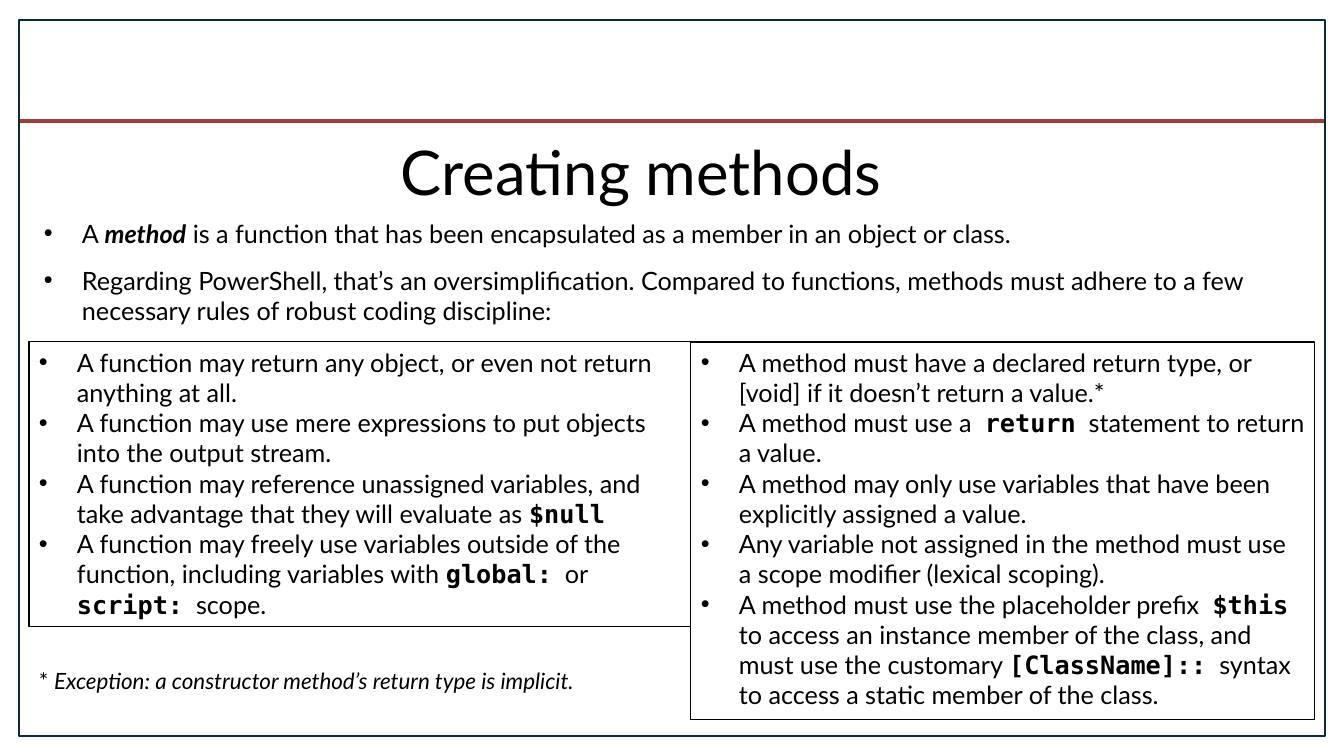
from lxml import etree
from pptx import Presentation
from pptx.dml.color import RGBColor
from pptx.enum.shapes import MSO_CONNECTOR, MSO_SHAPE
from pptx.enum.text import MSO_ANCHOR, MSO_AUTO_SIZE
from pptx.oxml.ns import qn
from pptx.util import Pt

STRAIGHT = MSO_CONNECTOR.STRAIGHT
RECTANGLE = MSO_SHAPE.RECTANGLE
MIDDLE, TOP = MSO_ANCHOR.MIDDLE, MSO_ANCHOR.TOP
GROW, FIXED = MSO_AUTO_SIZE.SHAPE_TO_FIT_TEXT, MSO_AUTO_SIZE.NONE

BLACK = RGBColor(0x00, 0x00, 0x00)
NAVY = RGBColor(0x09, 0x2A, 0x39)
RED = RGBColor(0xA1, 0x3C, 0x39)

STYLES = {
    "plain": {"name": "Lato", "bold": False, "italic": False},
    "italic": {"name": "Lato", "bold": False, "italic": True},
    "term": {"name": "Lato", "bold": True, "italic": True},
    "code": {"name": "DejaVu Sans Mono", "bold": True, "italic": False},
}

TITLE = [["Creating methods"]]
INTRO = [
    ["A ", ("method", "term"),
     " is a function that has been encapsulated as a member in an object or class."],
    ["Regarding PowerShell, that’s an oversimplification. Compared to functions, "
     "methods must adhere to a few necessary rules of robust coding discipline:"],
]
FUNCTION_RULES = [
    ["A function may return any object, or even not return anything at all."],
    ["A function may use mere expressions to put objects into the output stream."],
    ["A function may reference unassigned variables, and take advantage that "
     "they will evaluate as ", ("$null", "code")],
    ["A function may freely use variables outside of the function, including "
     "variables with ", ("global:", "code"), "  or  ", ("script:", "code"), "  scope."],
]
METHOD_RULES = [
    ["A method must have a declared return type, or [void] if it doesn’t return a value.*"],
    ["A method must use a  ", ("return", "code"), "  statement to return a value."],
    ["A method may only use variables that have been explicitly assigned a value."],
    ["Any variable not assigned in the method must use a scope modifier (lexical scoping)."],
    ["A method must use the placeholder prefix  ", ("$this", "code"),
     "  to access an instance member of the class, and must use the customary ",
     ("[ClassName]::", "code"), "  syntax to access a static member of the class."],
]
FOOTNOTE = [["* ", ("Exception: a constructor method’s return type is implicit.", "italic")]]

SLIDE_SIZE = (1344, 756)
FRAME = (19, 20, 1306, 716)
RULE_Y = 121
INDENT = 38

TEXT_BOXES = [
    {"box": (391, 136, 561, 80), "content": TITLE, "size": 44,
     "spacing": 0.9, "anchor": MIDDLE, "fit": FIXED},
    {"box": (34, 213, 1276, 119), "content": INTRO, "size": 18,
     "bullets": True, "gap": 12},
    {"box": (29, 342, 662, 285), "content": FUNCTION_RULES, "size": 18,
     "bullets": True, "outline": True},
    {"box": (691, 342, 624, 378), "content": METHOD_RULES, "size": 18,
     "bullets": True, "outline": True},
    {"box": (29, 662, 570, 65), "content": FOOTNOTE, "size": 16},
]


def px(length):
    return round(length * 914400 / 100.8)


def set_line(shape, color, width):
    shape.line.color.rgb = color
    shape.line.width = Pt(width)


def add_bullet(paragraph):
    properties = paragraph._p.get_or_add_pPr()
    properties.set("marL", str(px(INDENT)))
    properties.set("indent", str(-px(INDENT)))
    etree.SubElement(properties, qn("a:buFont")).set("typeface", "Arial")
    etree.SubElement(properties, qn("a:buChar")).set("char", "•")


def add_text(slide, box, content, size, bullets=False, outline=False,
             gap=0, spacing=1.0, anchor=TOP, fit=GROW):
    shape = slide.shapes.add_textbox(*map(px, box))
    if outline:
        set_line(shape, BLACK, 0.75)
    frame = shape.text_frame
    frame.word_wrap = True
    frame.auto_size = fit
    frame.vertical_anchor = anchor
    for index, pieces in enumerate(content):
        paragraph = frame.add_paragraph() if index else frame.paragraphs[0]
        if bullets:
            add_bullet(paragraph)
        paragraph.line_spacing = spacing
        if index < len(content) - 1:
            paragraph.space_after = Pt(gap)
        for piece in pieces:
            text, style = (piece, "plain") if isinstance(piece, str) else piece
            run = paragraph.add_run()
            run.text = text
            for attribute, value in {**STYLES[style], "size": Pt(size)}.items():
                setattr(run.font, attribute, value)
            run.font.color.rgb = BLACK


def main():
    presentation = Presentation()
    presentation.slide_width, presentation.slide_height = map(px, SLIDE_SIZE)
    slide = presentation.slides.add_slide(presentation.slide_layouts[6])

    left, top, width, height = FRAME
    rule = slide.shapes.add_connector(
        STRAIGHT, px(left), px(RULE_Y), px(left + width), px(RULE_Y))
    set_line(rule, RED, 3)
    etree.SubElement(rule._element.spPr, qn("a:effectLst"))

    border = slide.shapes.add_shape(RECTANGLE, *map(px, FRAME))
    border.shadow.inherit = False
    border.fill.background()
    set_line(border, NAVY, 1.5)

    for text_box in TEXT_BOXES:
        add_text(slide, **text_box)

    presentation.save("out.pptx")


if __name__ == "__main__":
    main()
